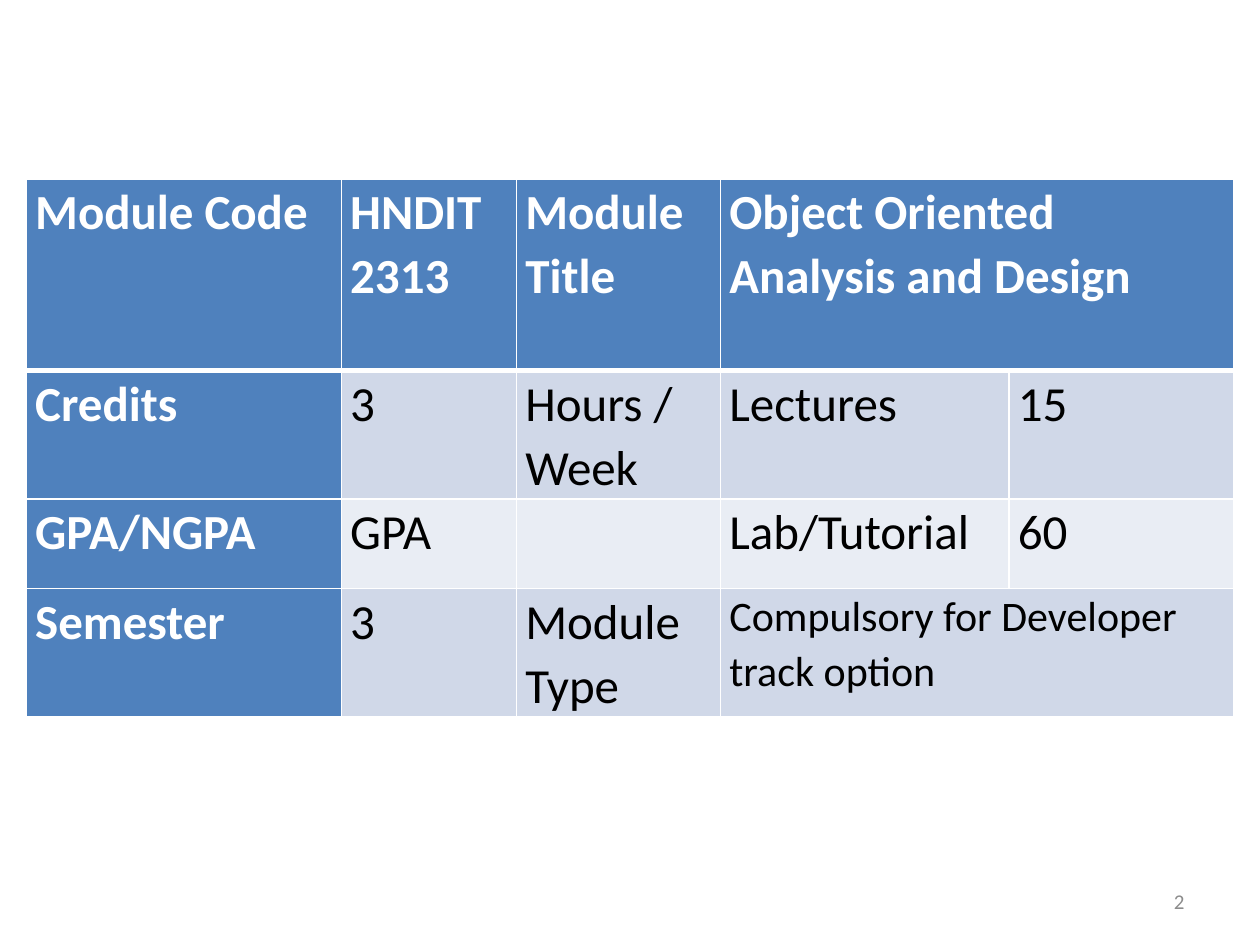
from lxml import etree
from pptx import Presentation
from pptx.dml.color import RGBColor
from pptx.enum.text import MSO_ANCHOR, PP_ALIGN
from pptx.oxml.ns import qn
from pptx.util import Inches, Pt

MIDDLE = MSO_ANCHOR.MIDDLE
TOP = MSO_ANCHOR.TOP
LEFT = PP_ALIGN.LEFT
RIGHT = PP_ALIGN.RIGHT
FONT = "Calibri"
COLORS = {
    "white": "FFFFFF",
    "black": "000000",
    "header": "4F81BD",
    "band_dark": "D0D8E8",
    "band_light": "E9EDF4",
    "number": "8C8C8C",
}
COLUMN_WIDTHS = [2.5, 1.39, 1.62, 2.29, 1.78]
ROW_HEIGHTS = [1.52, 1.02, 0.71, 1.02]
MODULE_ROWS = [
    ["Module Code", "HNDIT\n2313", "Module Title", "Object Oriented Analysis and Design", ""],
    ["Credits", "3", "Hours /Week", "Lectures", "15"],
    ["GPA/NGPA", "GPA", "", "Lab/Tutorial", "60"],
    ["Semester", "3", "Module Type", "Compulsory for Developer track option", ""],
]
MERGED_ROWS = [0, 3]
SMALL_CELL = (3, 3)


def color(name):
    return RGBColor.from_string(COLORS[name])


def write_text(frame, text, size=28, ink="black", bold=False, align=LEFT, spacing=None):
    frame.word_wrap = True
    for index, line in enumerate(text.split("\n")):
        para = frame.paragraphs[0] if index == 0 else frame.add_paragraph()
        para.alignment = align
        para.line_spacing = spacing
        para.font.size = Pt(size)
        if line:
            span = para.add_run()
            span.text = line
            span.font.name = FONT
            span.font.size = Pt(size)
            span.font.bold = bold
            span.font.color.rgb = color(ink)


def add_borders(cell, **widths):
    properties = cell._tc.get_or_add_tcPr()
    for side in ("L", "R", "T", "B"):
        line = etree.SubElement(properties, qn(f"a:ln{side}"), w=str(Pt(widths.get(side, 1))))
        fill = etree.SubElement(line, qn("a:solidFill"))
        etree.SubElement(fill, qn("a:srgbClr"), val=COLORS["white"])


def format_cell(cell, row, column):
    is_header = row == 0 or column == 0
    band = "band_dark" if row % 2 else "band_light"
    cell.margin_left, cell.margin_right = Inches(0.07), Inches(0.08)
    cell.margin_top = cell.margin_bottom = 0
    cell.vertical_anchor = TOP
    add_borders(cell, T=3 if row == 1 else 1, B=3 if row == 0 else 1)
    cell.fill.solid()
    cell.fill.fore_color.rgb = color("header" if is_header else band)
    write_text(
        cell.text_frame,
        MODULE_ROWS[row][column],
        size=24 if (row, column) == SMALL_CELL else 28,
        ink="white" if is_header else "black",
        bold=is_header,
        spacing=1.07,
    )


def add_module_table(page, left, top, width, height):
    table = page.shapes.add_table(
        len(ROW_HEIGHTS), len(COLUMN_WIDTHS), left, top, width, height
    ).table
    for column, column_width in zip(table.columns, COLUMN_WIDTHS):
        column.width = Inches(column_width)
    for row, row_height in zip(table.rows, ROW_HEIGHTS):
        row.height = Inches(row_height)
    for row in range(len(ROW_HEIGHTS)):
        for column in range(len(COLUMN_WIDTHS)):
            format_cell(table.cell(row, column), row, column)
    for row in MERGED_ROWS:
        table.cell(row, 3).merge(table.cell(row, 4))


def add_page_number(page, left, top, width, height):
    box = page.shapes.add_textbox(left, top, width, height)
    box.text_frame.vertical_anchor = MIDDLE
    write_text(box.text_frame, "2", size=12, ink="number", align=RIGHT)


def main():
    deck = Presentation()
    deck.slide_width, deck.slide_height = Inches(10), Inches(7.5)
    page = deck.slides.add_slide(deck.slide_layouts[6])
    add_page_number(page, Inches(7.17), Inches(6.95), Inches(2.33), Inches(0.4))
    add_module_table(
        page, Inches(0.21), Inches(1.42), Inches(sum(COLUMN_WIDTHS)), Inches(sum(ROW_HEIGHTS))
    )
    deck.save("out.pptx")


if __name__ == "__main__":
    main()
